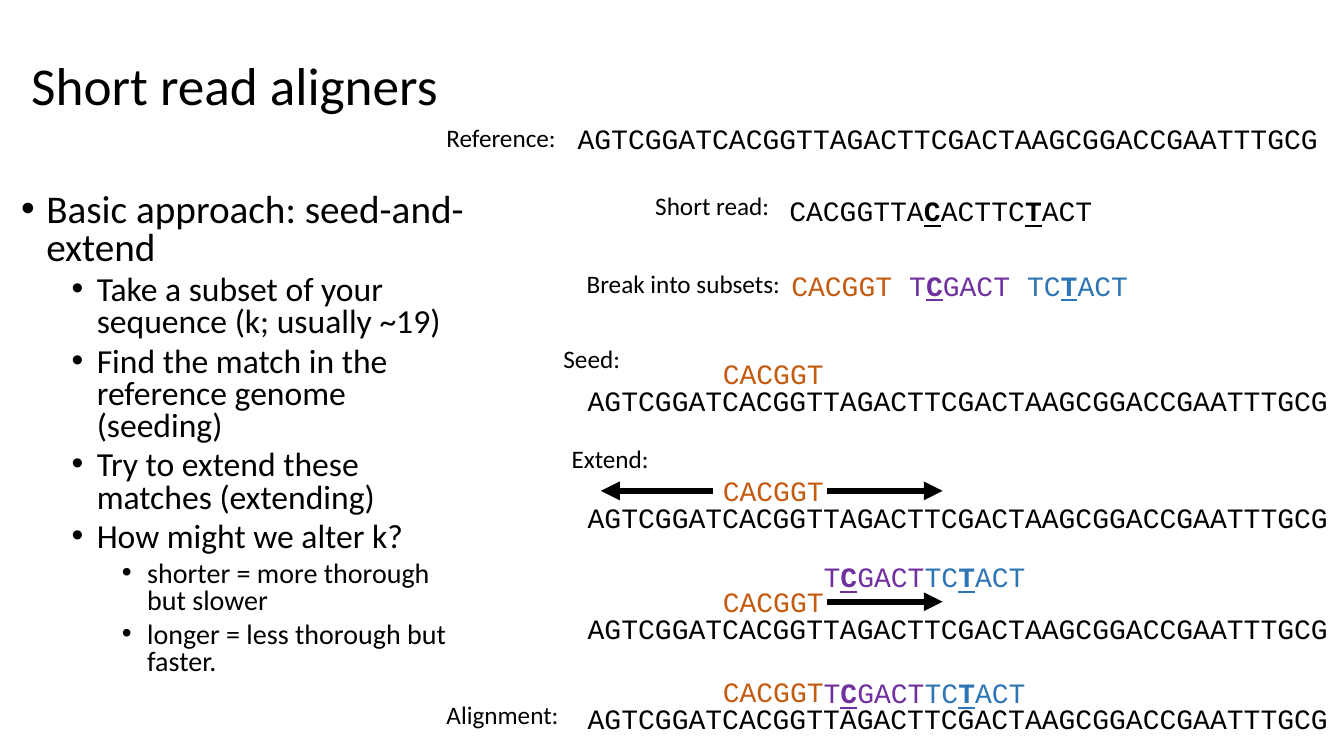
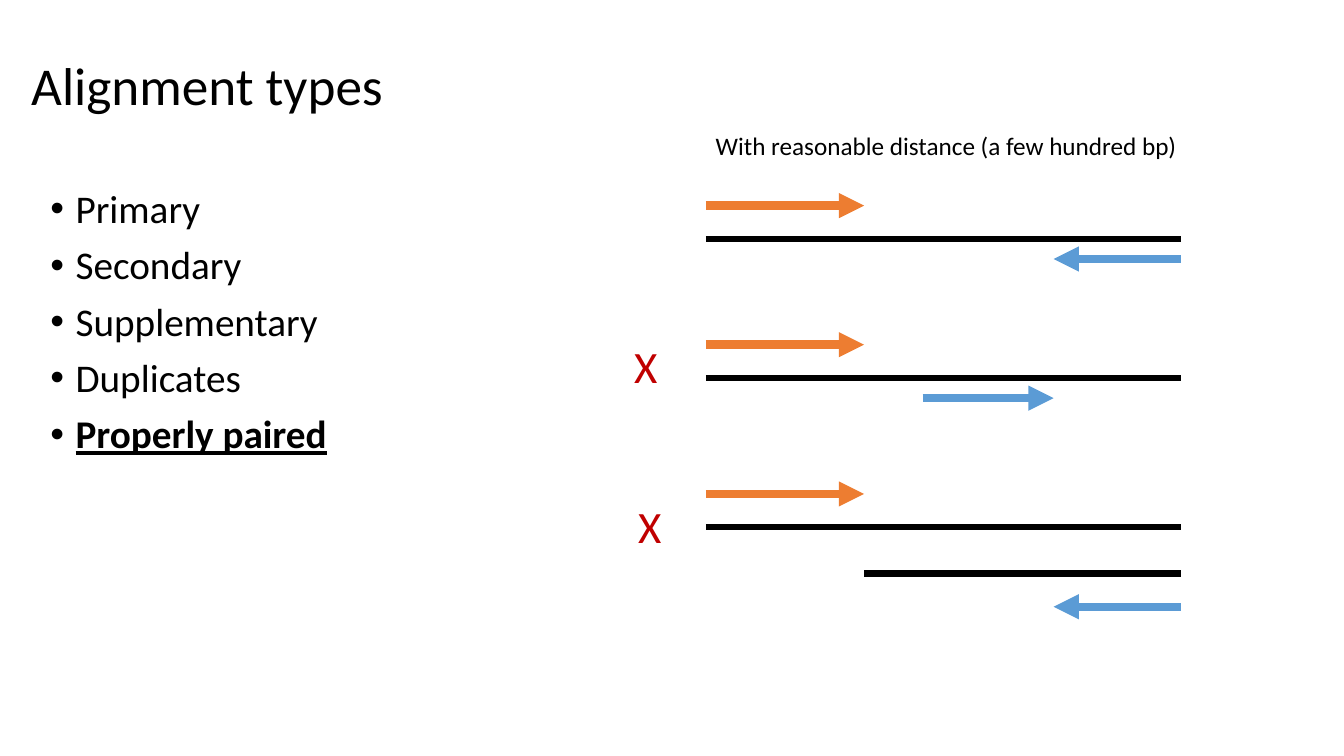
"""Build two slides on short read alignment and alignment types."""
from dataclasses import dataclass

from lxml import etree
from pptx import Presentation
from pptx.dml.color import RGBColor
from pptx.enum.shapes import MSO_CONNECTOR
from pptx.enum.text import MSO_ANCHOR, MSO_AUTO_SIZE, PP_ALIGN
from pptx.oxml.ns import qn
from pptx.util import Inches, Pt

STRAIGHT = MSO_CONNECTOR.STRAIGHT
MIDDLE, TOP = MSO_ANCHOR.MIDDLE, MSO_ANCHOR.TOP
FIT_SHAPE, NO_FIT = MSO_AUTO_SIZE.SHAPE_TO_FIT_TEXT, MSO_AUTO_SIZE.NONE
LEFT = PP_ALIGN.LEFT
LEFT_SIDE = 1

SANS, MONO = "Calibri", "Courier New"
COLORS = {
    "text": "000000",
    "seed": "C55A11",
    "second": "7030A0",
    "third": "2E75B6",
    "forward": "ED7D31",
    "mate": "5B9BD5",
    "wrong": "C00000",
}
LEVEL_SIZES = (28, 24, 20)


@dataclass(frozen=True)
class Span:
    text: str
    color: str = "text"
    marked: bool = False


@dataclass(frozen=True)
class Label:
    left: float
    top: float
    width: float
    spans: tuple[Span, ...]
    font: str = SANS
    size: int = 18
    height: float = 0.4
    wrap: bool = False


@dataclass(frozen=True)
class Line:
    x1: float
    x2: float
    y: float
    color: str = "text"
    width: float = 4.5
    arrow: bool = True


@dataclass(frozen=True)
class Bullet:
    text: str
    level: int = 0
    marked: bool = False


@dataclass(frozen=True)
class ReadPair:
    y: float
    mate_start: float
    mate_end: float
    mate_drop: float = 0.2


REFERENCE = (Span("AGTCGGATCACGGTTAGACTTCGACTAAGCGGACCGAATTTGCG"),)
READ = (Span("CACGGTTA"), Span("C", marked=True), Span("ACTTC"),
        Span("T", marked=True), Span("ACT"))
SEED = (Span("CACGGT", "seed"),)
SECOND = (Span("T", "second"), Span("C", "second", True))
THIRD = (Span("TC", "third"), Span("T", "third", True), Span("ACT", "third"))
SUBSETS = (Span("CACGGT ", "seed"), *SECOND, Span("GACT ", "second"), *THIRD)
EXTENSION = (*SECOND, Span("GACT", "second"), *THIRD)

STEP_LABELS = (
    Label(4.33, 1.16, 1.3, (Span("Reference:"),)),
    Label(6.4, 1.84, 1.35, (Span("Short read:"),)),
    Label(5.72, 2.61, 2.14, (Span("Break into subsets:"),)),
    Label(5.49, 3.36, 0.77, (Span("Seed:"),)),
    Label(5.57, 4.35, 0.98, (Span("Extend:"),)),
    Label(4.33, 6.89, 1.33, (Span("Alignment:"),)),
)
SEED_RISE = 0.27
SEED_STEP, EXTEND_STEP, EXTENDED_STEP, ALIGNED_STEP = 3.76, 4.92, 6.02, 6.91

ALIGNER_BULLETS = (
    Bullet("Basic approach: seed-and-extend"),
    Bullet("Take a subset of your sequence (k; usually ~19)", 1),
    Bullet("Find the match in the reference genome (seeding)", 1),
    Bullet("Try to extend these matches (extending)", 1),
    Bullet("How might we alter k?", 1),
    Bullet("shorter = more thorough but slower", 2),
    Bullet("longer = less thorough but faster.", 2),
)
TYPE_BULLETS = (
    Bullet("Primary"),
    Bullet("Secondary"),
    Bullet("Supplementary"),
    Bullet("Duplicates"),
    Bullet("Properly paired", marked=True),
)

REF_START, REF_END, FORWARD_END = 7, 11.71, 8.57
MATE_TIP, FORWARD_RISE = 10.45, 0.33
READ_PAIRS = (
    ReadPair(2.37, REF_END, MATE_TIP),
    ReadPair(3.75, 9.15, MATE_TIP),
    ReadPair(5.23, REF_END, MATE_TIP, 0.79),
)
SECOND_REFERENCE = Line(FORWARD_END, REF_END, 5.69, arrow=False)
PAIR_LABELS = (
    Label(7, 1.24, 4.88,
          (Span("With reasonable distance (a few hundred bp)"),)),
    Label(6.19, 3.31, 0.44, (Span("X", "wrong"),), size=32, height=0.64),
    Label(6.23, 4.9, 0.44, (Span("X", "wrong"),), size=32, height=0.64),
)


def format_run(r, font: str, size: float, color: str, marked: bool) -> None:
    r.font.name = font
    r.font.size = Pt(size)
    r.font.color.rgb = RGBColor.from_string(COLORS[color])
    r.font.bold = marked
    r.font.underline = marked


def place(sp, left: float, top: float, width: float, height: float) -> None:
    sp.left, sp.top = Inches(left), Inches(top)
    sp.width, sp.height = Inches(width), Inches(height)


def add_titled_slide(prs, title: str):
    slide = prs.slides.add_slide(prs.slide_layouts[1])
    sp = slide.shapes.title
    place(sp, 0.21, 0.15, 11.5, 1.45)
    tf = sp.text_frame
    tf.text = title
    tf.auto_size = NO_FIT
    tf.vertical_anchor = MIDDLE
    p = tf.paragraphs[0]
    p.alignment = LEFT
    p.line_spacing = 0.9
    format_run(p.runs[0], SANS, 38, "text", False)
    return slide


def add_bullet_mark(p, level: int) -> None:
    pPr = p._p.get_or_add_pPr()
    pPr.set("marL", str(Inches(0.25 + 0.5 * level)))
    pPr.set("indent", str(Inches(-0.25)))
    etree.SubElement(pPr, qn("a:buFont")).set("typeface", "Arial")
    etree.SubElement(pPr, qn("a:buChar")).set("char", "•")


def fill_body(slide, box: tuple[float, float, float, float],
              bullets: tuple[Bullet, ...], spacing: float) -> None:
    sp = slide.placeholders[1]
    place(sp, *box)
    tf = sp.text_frame
    tf.auto_size = NO_FIT
    tf.vertical_anchor = TOP
    tf.text = "\n".join(b.text for b in bullets)
    for i, (p, b) in enumerate(zip(tf.paragraphs, bullets)):
        p.level = b.level
        add_bullet_mark(p, b.level)
        p.alignment = LEFT
        p.line_spacing = spacing
        p.space_before = Pt(0 if i == 0 else 5 if b.level else 10)
        format_run(p.runs[0], SANS, LEVEL_SIZES[b.level], "text", b.marked)


def add_label(slide, label: Label):
    sp = slide.shapes.add_textbox(Inches(label.left), Inches(label.top),
                                  Inches(label.width), Inches(label.height))
    tf = sp.text_frame
    tf.word_wrap = label.wrap
    tf.auto_size = FIT_SHAPE
    p = tf.paragraphs[0]
    for span in label.spans:
        r = p.add_run()
        r.text = span.text
        format_run(r, label.font, label.size, span.color, span.marked)
    return sp


def add_sequence(slide, left: float, top: float, width: float,
                 spans: tuple[Span, ...], wrap: bool = False):
    return add_label(slide, Label(left, top, width, spans, MONO, 20, 0.44, wrap))


def add_line(slide, line: Line):
    sp = slide.shapes.add_connector(STRAIGHT, Inches(line.x1), Inches(line.y),
                                    Inches(line.x2), Inches(line.y))
    sp.line.color.rgb = RGBColor.from_string(COLORS[line.color])
    sp.line.width = Pt(line.width)
    if line.arrow:
        ln = sp.line._get_or_add_ln()
        etree.SubElement(ln, qn("a:tailEnd")).set("type", "triangle")
    etree.SubElement(sp._element.spPr, qn("a:effectLst"))
    return sp


def add_seeded_reference(slide, top: float):
    add_sequence(slide, 5.73, top, 7.61, REFERENCE)
    return add_sequence(slide, 7.07, top - SEED_RISE, 1.32, SEED, wrap=True)


def add_read_pair(slide, pair: ReadPair) -> None:
    add_line(slide, Line(REF_START, REF_END, pair.y, arrow=False))
    add_line(slide, Line(REF_START, FORWARD_END, pair.y - FORWARD_RISE,
                         "forward", 6))
    add_line(slide, Line(pair.mate_start, pair.mate_end,
                         pair.y + pair.mate_drop, "mate", 6))


def build_aligners(prs) -> None:
    slide = add_titled_slide(prs, "Short read aligners")
    fill_body(slide, (0.11, 1.87, 4.65, 4.93), ALIGNER_BULLETS, 0.8)
    for label in STEP_LABELS:
        add_label(slide, label)
    add_sequence(slide, 5.63, 1.16, 7.61, REFERENCE)
    add_sequence(slide, 7.73, 1.87, 3.23, READ)
    add_sequence(slide, 7.75, 2.61, 3.57, SUBSETS)
    add_seeded_reference(slide, SEED_STEP)
    seed = add_seeded_reference(slide, EXTEND_STEP)
    add_line(slide, Line(8.2, 9.35, 4.87))
    leftward = add_line(slide, Line(7.07, 5.96, 4.87))
    leftward.begin_connect(seed, LEFT_SIDE)
    add_seeded_reference(slide, EXTENDED_STEP)
    add_line(slide, Line(8.2, 9.35, 5.97))
    add_seeded_reference(slide, ALIGNED_STEP)
    for top in (5.5, 6.65):
        add_sequence(slide, 8.07, top, 2.22, EXTENSION)


def build_types(prs) -> None:
    slide = add_titled_slide(prs, "Alignment types")
    fill_body(slide, (0.4, 1.83, 12.01, 4.93), TYPE_BULLETS, 0.9)
    for pair in READ_PAIRS:
        add_read_pair(slide, pair)
    add_line(slide, SECOND_REFERENCE)
    for label in PAIR_LABELS:
        add_label(slide, label)


def main() -> None:
    prs = Presentation()
    prs.slide_width, prs.slide_height = Inches(13.33), Inches(7.5)
    build_aligners(prs)
    build_types(prs)
    prs.save("out.pptx")


if __name__ == "__main__":
    main()
